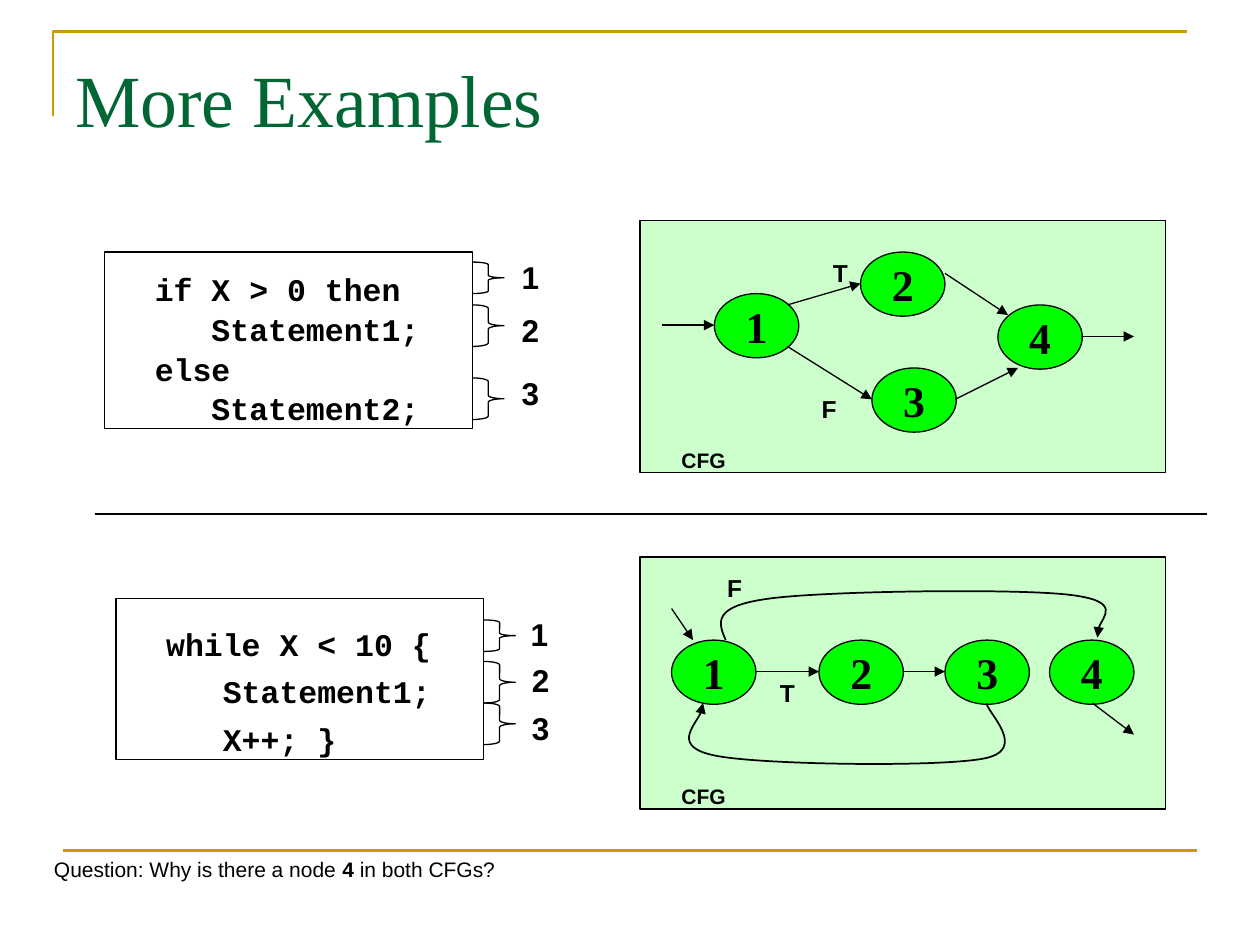
from dataclasses import dataclass

from lxml import etree
from pptx import Presentation
from pptx.dml.color import RGBColor
from pptx.enum.shapes import MSO_CONNECTOR, MSO_SHAPE
from pptx.enum.text import MSO_ANCHOR, PP_ALIGN
from pptx.oxml.ns import qn
from pptx.util import Inches, Pt

RECTANGLE, OVAL, BRACE = MSO_SHAPE.RECTANGLE, MSO_SHAPE.OVAL, MSO_SHAPE.RIGHT_BRACE
STRAIGHT = MSO_CONNECTOR.STRAIGHT
LEFT, CENTER = PP_ALIGN.LEFT, PP_ALIGN.CENTER
TOP, MIDDLE = MSO_ANCHOR.TOP, MSO_ANCHOR.MIDDLE


@dataclass(frozen=True)
class Theme:
    ink: str = "000000"
    title: str = "006633"
    rule: str = "CC9900"
    panel: str = "CCFFCC"
    node: str = "00FF00"
    serif: str = "Times New Roman"
    sans: str = "Arial"
    mono: str = "Courier New"
    title_size: float = 42
    node_size: float = 25
    code_size: float = 18
    branch_size: float = 14
    note_size: float = 12
    thin: float = 0.75
    medium: float = 1
    thick: float = 1.5


THEME = Theme()
NODE_SIZE = (0.67, 0.51)
PANEL_SIZE = (4.17, 2)


def write(shape, lines, *, size, font=THEME.sans, color=THEME.ink, bold=True,
          align=CENTER, anchor=TOP, margin_top=0.05, wrap=True, spacing=None):
    """Fill a shape with lines; a line is a string or a list of (text, bold) runs."""
    frame = shape.text_frame
    frame.word_wrap = wrap
    frame.vertical_anchor = anchor
    frame.margin_left = frame.margin_right = Inches(0.1)
    frame.margin_top, frame.margin_bottom = Inches(margin_top), Inches(0.05)
    for index, line in enumerate(lines):
        paragraph = frame.add_paragraph() if index else frame.paragraphs[0]
        paragraph.alignment = align
        paragraph.line_spacing = spacing
        runs = [(line, bold)] if isinstance(line, str) else line
        for text, run_bold in runs:
            run = paragraph.add_run()
            run.text = text
            run.font.name, run.font.size, run.font.bold = font, Pt(size), run_bold
            run.font.color.rgb = RGBColor.from_string(color)


def add_label(slide, text, left, top, width, height, **text_format):
    box = slide.shapes.add_textbox(*map(Inches, (left, top, width, height)))
    write(box, [text], **text_format)


def style_line(shape, color, width, arrow=False):
    shape.line.color.rgb = RGBColor.from_string(color)
    shape.line.width = Pt(width)
    if arrow:
        etree.SubElement(shape.line._get_or_add_ln(), qn("a:tailEnd"), type="triangle")


def add_box(slide, kind, left, top, width, height, fill=None, line_width=THEME.thin):
    shape = slide.shapes.add_shape(kind, *map(Inches, (left, top, width, height)))
    shape.shadow.inherit = False
    if fill:
        shape.fill.solid()
        shape.fill.fore_color.rgb = RGBColor.from_string(fill)
    else:
        shape.fill.background()
    style_line(shape, THEME.ink, line_width)
    return shape


def add_line(slide, start, end, color=THEME.ink, width=THEME.thin, arrow=False):
    connector = slide.shapes.add_connector(STRAIGHT, *map(Inches, (*start, *end)))
    style_line(connector, color, width, arrow)
    etree.SubElement(connector._element.spPr, qn("a:effectLst"))


def add_path(slide, points, color=THEME.ink, width=THEME.medium, curved=False):
    """Draw an open outline; when curved, each three points form a Bezier arrow segment."""
    emu_points = [(Inches(x), Inches(y)) for x, y in points]
    builder = slide.shapes.build_freeform(*emu_points[0])
    builder.add_line_segments(emu_points[1:], close=False)
    shape = builder.convert_to_shape()
    shape.shadow.inherit = False
    shape.fill.background()
    style_line(shape, color, width, arrow=curved)
    if curved:
        segments = list(shape._element.iter(qn("a:lnTo")))
        for index in range(0, len(segments), 3):
            bezier = etree.Element(qn("a:cubicBezTo"))
            segments[index].addprevious(bezier)
            for segment in segments[index:index + 3]:
                bezier.append(segment[0])
                segment.getparent().remove(segment)


def add_code(slide, lines, left, top, height, spacing, braces, labels):
    """Add a code box with a brace (top, height) and a number (left, top) per block."""
    width, brace_width = 2.92, 0.25
    box = add_box(slide, RECTANGLE, left, top, width, height)
    write(box, lines, size=THEME.code_size, font=THEME.mono, align=LEFT,
          margin_top=0.13, spacing=spacing)
    for brace_top, brace_height in braces:
        brace = add_box(slide, BRACE, left + width, brace_top, brace_width, brace_height)
        brace.adjustments[0] = brace_height / brace_width / 12
    for number, (label_left, label_top) in enumerate(labels, 1):
        add_label(slide, str(number), label_left, label_top, 0.42, 0.4,
                  size=THEME.code_size)


def add_graph(slide, top, nodes, edges, branches):
    """Add a control-flow panel with numbered nodes, arrows and branch labels."""
    add_box(slide, RECTANGLE, 5.08, top, *PANEL_SIZE, THEME.panel, THEME.medium)
    add_label(slide, "CFG", 5.25, top + 1.75, 0.67, 0.3, size=THEME.note_size)
    for number, (left, node_top) in enumerate(nodes, 1):
        node = add_box(slide, OVAL, left, node_top, *NODE_SIZE, THEME.node)
        write(node, [str(number)], size=THEME.node_size, font=THEME.serif,
              anchor=MIDDLE, wrap=False)
    for start, end in edges:
        add_line(slide, start, end, arrow=True)
    for text, left, label_top in branches:
        add_label(slide, text, left, label_top, 0.5, 0.34, size=THEME.branch_size)


def add_if_example(slide):
    add_code(slide, ["  if X > 0 then", "     Statement1;", "  else", "     Statement2;"],
             0.83, 2, 1.4, 1.05,
             braces=[(2.08, 0.25), (2.42, 0.33), (3, 0.33)],
             labels=[(4, 2), (4, 2.42), (4, 2.92)])
    add_graph(slide, 1.75,
              nodes=[(5.67, 2.33), (6.83, 2), (6.92, 2.92), (7.92, 2.42)],
              edges=[((5.25, 2.58), (5.67, 2.58)), ((6.25, 2.42), (6.83, 2.25)),
                     ((6.25, 2.75), (6.92, 3.17)), ((7.5, 2.17), (8, 2.5)),
                     ((7.58, 3.17), (8.08, 2.92)), ((8.58, 2.67), (9, 2.67))],
              branches=[("T", 6.42, 2), ("F", 6.33, 3.08)])


def add_while_example(slide):
    add_code(slide, ["  while X < 10 {", "     Statement1;", "     X++; }"],
             0.92, 4.75, 1.28, 1.26,
             braces=[(4.92, 0.25), (5.25, 0.33), (5.58, 0.33)],
             labels=[(4.07, 4.83), (4.08, 5.2), (4.08, 5.58)])
    add_graph(slide, 4.42,
              nodes=[(left, 5.08) for left in (5.33, 6.5, 7.5, 8.33)],
              edges=[((5.33, 4.83), (5.5, 5.08)), ((6, 5.33), (6.5, 5.33)),
                     ((7.17, 5.33), (7.5, 5.33)), ((8.67, 5.58), (9, 5.83))],
              branches=[("T", 6, 5.33), ("F", 5.58, 4.5)])
    exit_curve = [(5.76, 5.08), (5.7, 4.94), (5.65, 4.81), (6.11, 4.75), (6.56, 4.69),
                  (8.05, 4.67), (8.48, 4.72), (8.92, 4.77), (8.67, 4.99), (8.71, 5.06)]
    loop_curve = [(7.83, 5.58), (7.83, 5.65), (8.17, 5.95), (7.81, 6.02), (7.45, 6.09),
                  (6.06, 6.07), (5.69, 6), (5.32, 5.93), (5.6, 5.67), (5.58, 5.58)]
    for curve in (exit_curve, loop_curve):
        add_path(slide, curve, curved=True)


def main():
    presentation = Presentation()
    presentation.slide_width, presentation.slide_height = Inches(10), Inches(7.5)
    slide = presentation.slides.add_slide(presentation.slide_layouts[6])
    add_path(slide, [(0.42, 0.92), (0.42, 0.25), (9.42, 0.25)], THEME.rule, THEME.thick)
    add_line(slide, (0.5, 6.75), (9.5, 6.75), THEME.rule, THEME.thick)
    add_label(slide, "More Examples", 0.5, 0.3, 9, 1.25, size=THEME.title_size,
              font=THEME.serif, color=THEME.title, bold=False, align=LEFT,
              margin_top=0.13)
    add_if_example(slide)
    add_line(slide, (0.75, 4.08), (9.58, 4.08), width=THEME.medium)
    add_while_example(slide)
    question = [("Question: Why is there a node ", False), ("4 ", True),
                ("in both CFGs?", False)]
    add_label(slide, question, 0.33, 6.75, 4.25, 0.3, size=THEME.note_size, align=LEFT)
    presentation.save("out.pptx")


if __name__ == "__main__":
    main()
